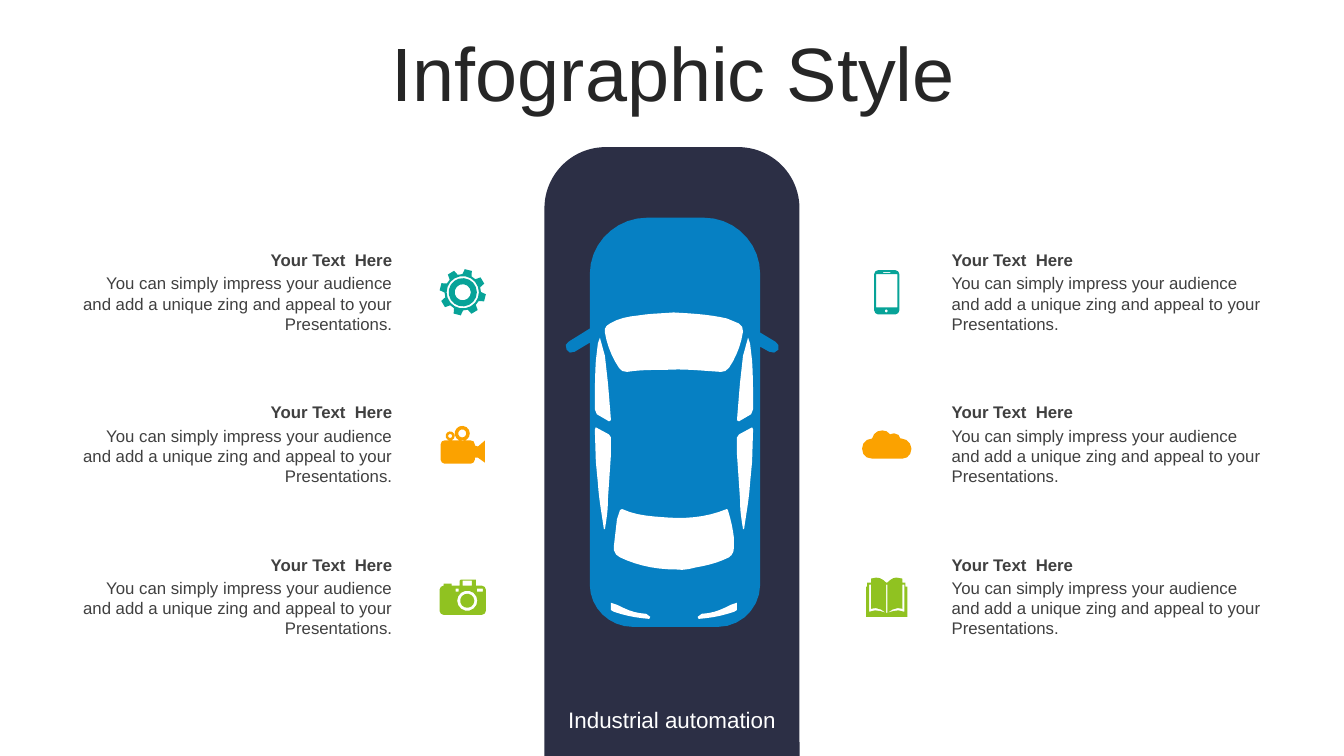
from math import ceil, cos, dist, pi, sin, tau

from pptx import Presentation
from pptx.dml.color import RGBColor
from pptx.enum.shapes import MSO_SHAPE
from pptx.enum.text import MSO_ANCHOR, MSO_AUTO_SIZE, PP_ALIGN
from pptx.util import Inches, Pt

LEFT, CENTER, RIGHT = PP_ALIGN.LEFT, PP_ALIGN.CENTER, PP_ALIGN.RIGHT
MIDDLE, TOP = MSO_ANCHOR.MIDDLE, MSO_ANCHOR.TOP
GROW = MSO_AUTO_SIZE.SHAPE_TO_FIT_TEXT
ROAD = MSO_SHAPE.ROUND_2_SAME_RECTANGLE


class Theme:
    font = "Arial"
    title_size, caption_size, text_size = 54, 16, 12
    title, text, white = "262626", "404040", "FFFFFF"
    road, car = "2C2F45", "0680C3"
    teal, orange, green = "07A398", "FBA200", "90C221"


# Content
TITLE = "Infographic Style"
CAPTION = "Industrial automation"
HEADING = "Your Text  Here"
BODY = ("You can simply impress your audience and add a unique zing "
        "and appeal to your Presentations.")
ROWS = 3
COLUMNS = [(0.66, RIGHT), (9.34, LEFT)]
FIRST_ROW, ROW_PITCH, BODY_DROP = 2.43, 1.51, 0.23

# Outlines in inches. M starts a contour, L lines, C curves,
# O circle (centre, radius), B box (left, top, right, bottom).
CAR_BODY = """
M 7.69 3.39 L 7.54 3.3 7.54 2.72 C 7.54 2.41 7.29 2.16 6.98 2.16 L 6.42 2.16
C 6.11 2.16 5.85 2.41 5.85 2.72 L 5.85 3.26 5.64 3.39
C 5.61 3.4 5.6 3.44 5.62 3.47 5.63 3.5 5.67 3.51 5.7 3.49 L 5.85 3.4 5.85 5.8
C 5.85 6.03 6.04 6.22 6.28 6.22 L 7.12 6.22 C 7.35 6.22 7.54 6.03 7.54 5.8
L 7.54 3.44 7.63 3.49 C 7.66 3.51 7.7 3.5 7.72 3.47 7.73 3.44 7.72 3.4 7.69 3.39
"""
CAR_WINDSCREENS = """
M 6.68 3.1 C 6.86 3.11 7.04 3.12 7.21 3.16 L 7.33 3.21
C 7.36 3.23 7.37 3.25 7.37 3.29 7.35 3.42 7.3 3.55 7.23 3.65
7.21 3.68 7.18 3.69 7.15 3.69 L 7.01 3.68
C 6.87 3.67 6.73 3.66 6.6 3.67 6.47 3.67 6.34 3.67 6.22 3.69
6.18 3.69 6.16 3.68 6.14 3.65 6.07 3.55 6.02 3.42 6 3.3
5.99 3.26 6.01 3.23 6.05 3.21 6.13 3.16 6.23 3.14 6.33 3.13
6.45 3.11 6.57 3.11 6.68 3.1
M 7.21 5.05 L 7.22 5.06 C 7.25 5.16 7.27 5.25 7.28 5.34 L 7.28 5.43
C 7.28 5.48 7.26 5.51 7.23 5.53 7.13 5.58 7.02 5.61 6.9 5.63
6.83 5.65 6.76 5.66 6.71 5.65 6.5 5.65 6.32 5.61 6.15 5.53
6.1 5.51 6.08 5.46 6.09 5.41 L 6.12 5.15 6.15 5.06 6.17 5.05
C 6.3 5.11 6.43 5.12 6.56 5.13 6.78 5.15 6.99 5.14 7.21 5.05
"""
CAR_RIGHT_GLASS = """
M 7.42 3.35 L 7.44 3.41 7.46 3.58 C 7.47 3.75 7.47 3.9 7.47 4.06
L 7.45 4.11 7.33 4.18 7.31 4.17 C 7.32 4.04 7.33 3.91 7.34 3.8
L 7.37 3.53 C 7.39 3.46 7.4 3.42 7.42 3.35
M 7.46 4.24 L 7.47 4.26 7.46 4.58 7.44 4.79 C 7.43 4.95 7.4 5.11 7.38 5.25
L 7.37 5.25 C 7.35 5.13 7.34 5.06 7.34 4.95 L 7.31 4.51 7.31 4.34 7.33 4.31
M 7.31 5.98 L 7.31 6.02 C 7.31 6.05 7.32 6.06 7.28 6.07 7.16 6.11 7.06 6.13 6.93 6.14
L 6.92 6.12 6.96 6.09 C 7.08 6.08 7.13 6.06 7.25 6
"""
CAR_AXIS = 6.685
GEAR_RINGS = "O 4.59 2.9 0.16 O 4.59 2.9 0.14 O 4.59 2.9 0.08"
FILM_CAMERA = """
M 4.41 4.37 L 4.67 4.37 C 4.69 4.37 4.71 4.38 4.71 4.41 L 4.71 4.42 4.74 4.43
4.81 4.37 4.81 4.59 4.74 4.54 4.71 4.54 4.71 4.56 C 4.71 4.58 4.69 4.6 4.67 4.6
L 4.41 4.6 C 4.39 4.6 4.37 4.58 4.37 4.56 L 4.37 4.41 C 4.37 4.38 4.39 4.37 4.41 4.37
O 4.465 4.325 0.045 O 4.465 4.325 0.02 O 4.585 4.3 0.075 O 4.585 4.3 0.04
"""
PHOTO_CAMERA = """
M 4.57 5.75 L 4.72 5.75 4.72 5.81 4.78 5.81
C 4.8 5.81 4.82 5.83 4.82 5.85 L 4.82 6.06 C 4.82 6.08 4.8 6.1 4.78 6.1 L 4.4 6.1
C 4.38 6.1 4.36 6.08 4.36 6.06 L 4.36 5.85 C 4.36 5.83 4.38 5.81 4.4 5.81
L 4.4 5.79 4.48 5.79 4.48 5.81 4.56 5.81 4.56 5.76
O 4.635 5.96 0.1 O 4.635 5.96 0.07
B 4.52 5.84 4.55 5.87 B 4.73 5.84 4.79 5.87 B 4.59 5.76 4.68 5.81
"""
PHONE = """
M 8.71 2.68 L 8.88 2.68 C 8.9 2.68 8.92 2.7 8.92 2.72 L 8.92 3.08
C 8.92 3.1 8.9 3.12 8.88 3.12 L 8.71 3.12 C 8.69 3.12 8.67 3.1 8.67 3.08
L 8.67 2.72 C 8.67 2.7 8.69 2.68 8.71 2.68
B 8.69 2.72 8.9 3.05 B 8.76 2.7 8.83 2.71 O 8.79 3.085 0.015
"""
CLOUD = """
M 8.75 4.27 C 8.78 4.27 8.81 4.28 8.83 4.31 8.84 4.3 8.86 4.3 8.87 4.3
8.9 4.3 8.93 4.32 8.93 4.35 L 8.94 4.35 C 8.99 4.35 9.04 4.4 9.04 4.45
9.04 4.51 9 4.55 8.95 4.55 L 8.65 4.55 C 8.59 4.55 8.55 4.51 8.55 4.45
8.55 4.4 8.59 4.35 8.65 4.35 8.66 4.3 8.7 4.27 8.75 4.27
"""
BOOK_COVER = """
M 8.59 5.82 L 8.6 5.82 8.6 5.78 8.64 5.78 8.64 5.74
8.69 5.73 C 8.73 5.73 8.76 5.75 8.79 5.78 L 8.8 5.78
C 8.83 5.75 8.86 5.73 8.89 5.73 L 8.95 5.74
8.95 5.78 8.98 5.78 8.98 5.82 9 5.82 9 6.12 8.59 6.12
B 8.79 5.8 8.8 6.08
"""
BOOK_LEFT_PAGE = """
M 8.64 5.8 L 8.62 5.8 8.62 6.07 C 8.69 6.04 8.72 6.06 8.79 6.08
8.74 6.04 8.68 6.02 8.64 6.04
"""
BOOK_AXIS = 8.795


# Geometry
def circle(x, y, radius):
    steps = 8 + ceil(60 * radius)
    return [(x + radius * cos(tau * i / steps), y + radius * sin(tau * i / steps))
            for i in range(steps)]


def curve(points):
    """Points along a cubic curve, without its start; more for a longer one."""
    steps = 1 + ceil(dist(points[0], points[3]) / 0.1)
    for i in range(1, steps + 1):
        t = i / steps
        weights = ((1 - t) ** 3, 3 * t * (1 - t) ** 2, 3 * t * t * (1 - t), t ** 3)
        yield tuple(sum(w * p[axis] for w, p in zip(weights, points)) for axis in (0, 1))


def contours(outline):
    found, commands = [], []
    for token in outline.split():
        if token.isalpha():
            commands.append((token, []))
        else:
            commands[-1][1].append(float(token))
    for command, numbers in commands:
        pairs = list(zip(numbers[::2], numbers[1::2]))
        if command == "O":
            found.append(circle(*numbers))
        elif command == "B":
            left, top, right, bottom = numbers
            found.append([(left, top), (right, top), (right, bottom), (left, bottom)])
        elif command == "M":
            found.append(pairs)
        elif command == "L":
            found[-1].extend(pairs)
        else:
            for i in range(0, len(pairs), 3):
                found[-1].extend(curve([found[-1][-1], *pairs[i:i + 3]]))
    return found


def both_sides(outline, axis):
    side = contours(outline)
    return side + [[(2 * axis - x, y) for x, y in points] for points in side]


def gear_teeth(x, y, teeth=8, tilt=-76):
    corners = [(-15, 0.18), (-9, 0.23), (9, 0.23), (15, 0.18)]
    polar = [((tilt + 360 / teeth * i + turn) * pi / 180, radius)
             for i in range(teeth) for turn, radius in corners]
    return [(x + r * cos(a), y + r * sin(a)) for a, r in polar]


# Drawing
deck = Presentation()
deck.slide_width, deck.slide_height = Inches(13.33), Inches(7.5)
page = deck.slides.add_slide(deck.slide_layouts[6])


def paint(shape, color):
    shape.shadow.inherit = False
    shape.fill.solid()
    shape.fill.fore_color.rgb = RGBColor.from_string(color)
    shape.line.fill.background()


def draw(outline, color):
    builder = None
    for points in outline:
        start, *rest = [(Inches(x), Inches(y)) for x, y in points]
        if builder is None:
            builder = page.shapes.build_freeform(*start)
        else:
            builder.move_to(*start)
        builder.add_line_segments(rest, close=True)
    paint(builder.convert_to_shape(), color)


def write(text, place, size, color, align, bold=False, anchor=TOP):
    box = page.shapes.add_textbox(*map(Inches, place))
    frame = box.text_frame
    frame.word_wrap, frame.vertical_anchor = True, anchor
    para = frame.paragraphs[0]
    para.text, para.alignment = text, align
    para.font.name, para.font.size, para.font.bold = Theme.font, Pt(size), bold
    para.font.color.rgb = RGBColor.from_string(color)
    return frame


# Title
title = write(TITLE, (0.35, 0.37, 12.66, 0.79), Theme.title_size, Theme.title,
              CENTER, anchor=MIDDLE)
title.paragraphs[0].line_spacing = 0.9
title.paragraphs[0].space_before = Pt(10)

# Road and car
road = page.shapes.add_shape(ROAD, *map(Inches, (5.4, 1.46, 2.53, 6.04)))
road.adjustments[0], road.adjustments[1] = 0.24, 0
paint(road, Theme.road)
draw(contours(CAR_BODY), Theme.car)
draw(contours(CAR_WINDSCREENS) + both_sides(CAR_RIGHT_GLASS, CAR_AXIS), Theme.white)
write(CAPTION, (5.4, 6.96, 2.53, 0.37), Theme.caption_size, Theme.white,
      CENTER).auto_size = GROW

# Icons
draw([gear_teeth(4.59, 2.9)] + contours(GEAR_RINGS), Theme.teal)
for icon, color in ((FILM_CAMERA, Theme.orange), (PHOTO_CAMERA, Theme.green),
                    (PHONE, Theme.teal), (CLOUD, Theme.orange)):
    draw(contours(icon), color)
draw(contours(BOOK_COVER) + both_sides(BOOK_LEFT_PAGE, BOOK_AXIS), Theme.green)

# Text columns
for left, align in COLUMNS:
    for row in range(ROWS):
        top = FIRST_ROW + row * ROW_PITCH
        for text, drop, height in ((HEADING, 0, 0.3), (BODY, BODY_DROP, 0.71)):
            write(text, (left, top + drop, 3.33, height), Theme.text_size, Theme.text,
                  align, bold=text == HEADING).auto_size = GROW

deck.save("out.pptx")
